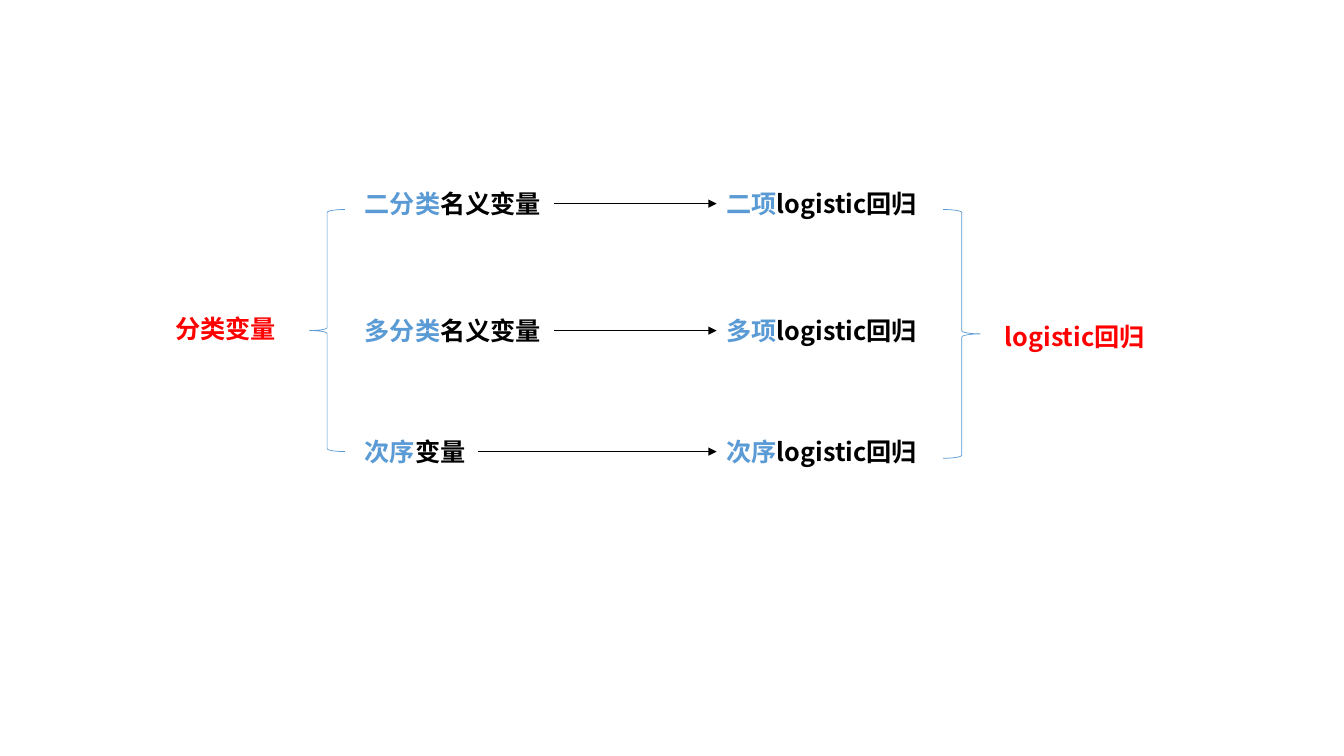
from pptx import Presentation
from pptx.dml.color import RGBColor
from pptx.enum.shapes import MSO_CONNECTOR as Connector, MSO_SHAPE as Shape
from pptx.enum.text import MSO_AUTO_SIZE as AutoSize
from pptx.oxml.ns import qn
from pptx.util import Cm, Pt
from lxml.etree import SubElement

COLORS = {"accent": "5B9BD5", "text": "000000", "key": "FF0000"}
FONT = "Noto Sans CJK SC"
LABEL_HEIGHT = 1.02


class Diagram:
    """Draws styled elements on one slide."""

    font_format = {"name": FONT, "size": Pt(18), "bold": True}
    frame_format = {"word_wrap": False, "auto_size": AutoSize.SHAPE_TO_FIT_TEXT}

    def __init__(self, slide):
        self.shapes = slide.shapes

    def color(self, name):
        return RGBColor.from_string(COLORS[name])

    def stroke(self, line, color, width):
        line.color.rgb = self.color(color)
        line.width = Pt(width)

    def label(self, left, top, width, *parts):
        box = self.shapes.add_textbox(Cm(left), Cm(top), Cm(width), Cm(LABEL_HEIGHT))
        for key, value in self.frame_format.items():
            setattr(box.text_frame, key, value)
        for text, color in parts:
            run = box.text_frame.paragraphs[0].add_run()
            run.text = text
            for key, value in self.font_format.items():
                setattr(run.font, key, value)
            run.font.color.rgb = self.color(color)
            # East Asian typeface
            SubElement(run.font._element, qn("a:ea"), typeface=FONT)
        return box

    def brace(self, kind, left, top, width, height):
        brace = self.shapes.add_shape(kind, Cm(left), Cm(top), Cm(width), Cm(height))
        brace.shadow.inherit = False
        brace.fill.background()
        self.stroke(brace.line, "accent", 0.5)

    def arrow(self, source, target):
        arrow = self.shapes.add_connector(Connector.STRAIGHT, 0, 0, 0, 0)
        arrow.begin_connect(source, 3)
        arrow.end_connect(target, 1)
        self.stroke(arrow.line, "text", 1)
        SubElement(arrow.line._get_or_add_ln(), qn("a:tailEnd"), type="triangle")
        SubElement(arrow._element.spPr, qn("a:effectLst"))


def main():
    prs = Presentation()
    prs.slide_width, prs.slide_height = Cm(33.87), Cm(19.05)
    diagram = Diagram(prs.slides.add_slide(prs.slide_layouts[6]))

    # Each variable type leads to its regression
    rows = [
        (4.62, 5.03, "二分类", "名义变量", "二项"),
        (7.82, 5.03, "多分类", "名义变量", "多项"),
        (10.87, 3.1, "次序", "变量", "次序"),
    ]
    for top, width, category, noun, model in rows:
        variable = diagram.label(8.94, top, width, (category, "accent"), (noun, "text"))
        regression = diagram.label(18.06, top, 5.69, (model, "accent"), ("logistic回归", "text"))
        diagram.arrow(variable, regression)

    # Overall terms on both sides
    diagram.label(4.17, 7.77, 3.1, ("分类变量", "key"))
    diagram.label(25.07, 7.98, 4.39, ("logistic回归", "key"))
    diagram.brace(Shape.LEFT_BRACE, 7.8, 5.28, 0.89, 6.1)
    diagram.brace(Shape.RIGHT_BRACE, 23.77, 5.28, 0.94, 6.27)

    prs.save("out.pptx")


if __name__ == "__main__":
    main()
